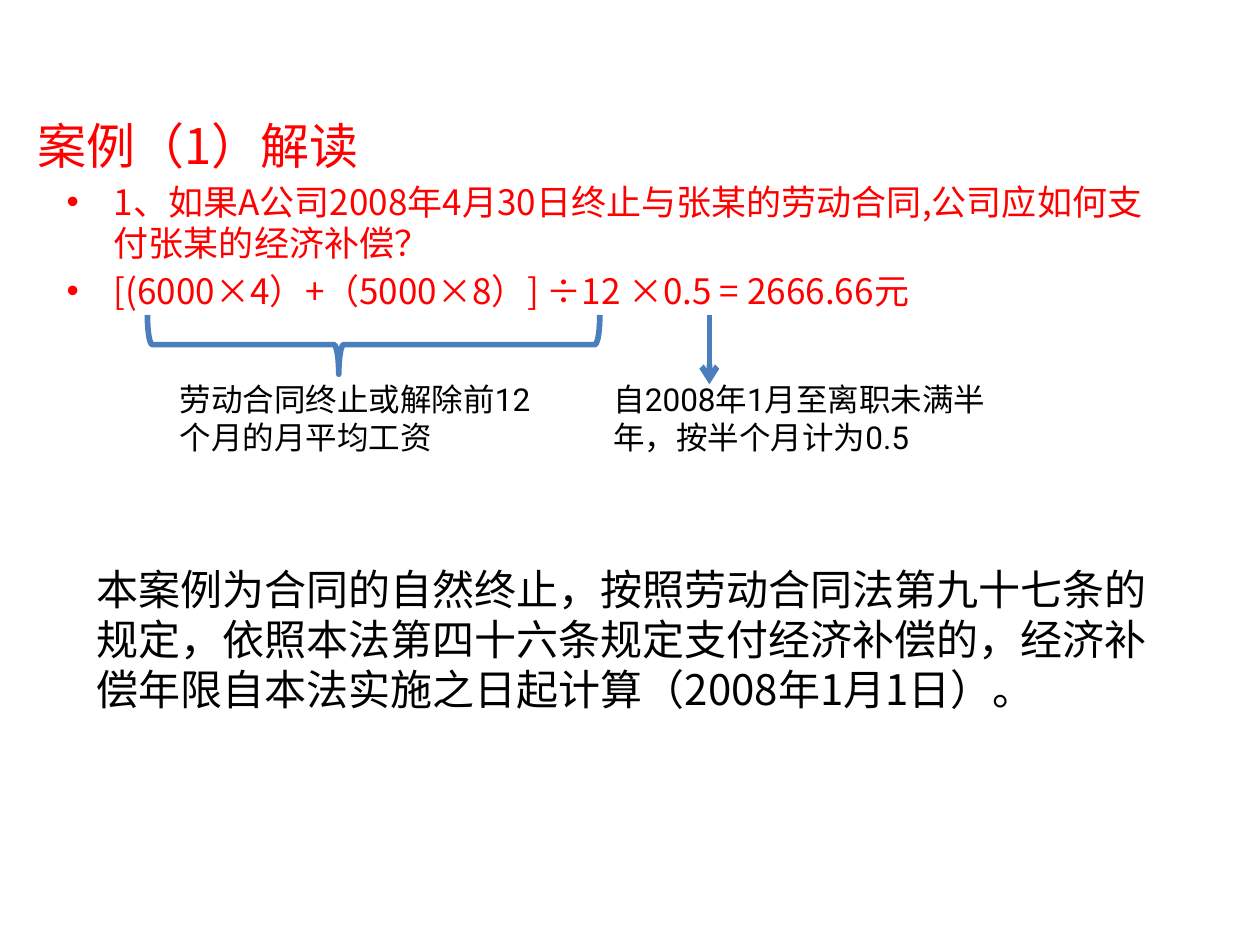
from dataclasses import dataclass

from lxml import etree
from pptx import Presentation
from pptx.dml.color import RGBColor
from pptx.enum.shapes import MSO_CONNECTOR, MSO_SHAPE
from pptx.enum.text import MSO_ANCHOR
from pptx.oxml.ns import qn
from pptx.util import Pt

RED = RGBColor(0xFF, 0x00, 0x00)
BLACK = RGBColor(0x00, 0x00, 0x00)
BLUE = RGBColor(0x4B, 0x7E, 0xBC)
BRACE = MSO_SHAPE.LEFT_BRACE
LINE = MSO_CONNECTOR.STRAIGHT
TOP = MSO_ANCHOR.TOP
SC = "Noto Sans CJK SC"
JP = "Noto Sans CJK JP"
LATIN = "Roboto"
WEIGHT = 3.25
HANG = 27


@dataclass
class Block:
    left: float
    top: float
    width: float
    height: float
    text: str
    size: float
    color: RGBColor = BLACK
    font: str = SC
    asian: str = SC
    lead: float = 1.2
    bullet: bool = False


BLOCKS = [
    Block(14.4, 62.64, 648, 99.36, "案例（1）解读", 28, RED),
    Block(
        30.96, 100.08, 647.28, 90.72,
        "1、如果A公司2008年4月30日终止与张某的劳动合同,公司应如何支付张某的经济补偿？\n"
        "[(6000×4）+（5000×8）] ÷12 ×0.5 = 2666.66元",
        20, RED, lead=1.17, bullet=True,
    ),
    Block(95.76, 213.84, 219.6, 51.12,
          "劳动合同终止或解除前12个月的月平均工资", 18, font=LATIN),
    Block(343.44, 213.84, 230.4, 51.12,
          "自2008年1月至离职未满半年，按半个月计为0.5", 18, font=LATIN),
    Block(
        48.24, 318.24, 629.28, 94.32,
        "本案例为合同的自然终止，按照劳动合同法第九十七条的规定，"
        "依照本法第四十六条规定支付经济补偿的，"
        "经济补偿年限自本法实施之日起计算（2008年1月1日）。",
        24, font=JP, asian=JP,
    ),
]


def add_dot(para, color: RGBColor) -> None:
    props = para._p.get_or_add_pPr()
    props.set("marL", str(Pt(HANG)))
    props.set("indent", str(-Pt(HANG)))
    tint = etree.SubElement(props, qn("a:buClr"))
    etree.SubElement(tint, qn("a:srgbClr"), val=str(color))
    etree.SubElement(props, qn("a:buFont"), typeface="Arial")
    etree.SubElement(props, qn("a:buChar"), char="•")


def add_block(slide, block: Block) -> None:
    box = slide.shapes.add_textbox(
        Pt(block.left), Pt(block.top), Pt(block.width), Pt(block.height)
    )
    frame = box.text_frame
    frame.word_wrap = True
    frame.vertical_anchor = TOP
    frame.text = block.text
    for para in frame.paragraphs:
        para.line_spacing = Pt(block.size * block.lead)
        if block.bullet:
            para.space_before = Pt(block.size * 0.2)
            add_dot(para, block.color)
        for run in para.runs:
            run.font.size = Pt(block.size)
            run.font.name = block.font
            run.font.color.rgb = block.color
            props = run.font._element
            etree.SubElement(props, qn("a:ea"), typeface=block.asian)


def add_brace(slide) -> None:
    brace = slide.shapes.add_shape(
        BRACE, Pt(196.56), Pt(67.68), Pt(33.84), Pt(258.48)
    )
    brace.rotation = 270
    brace.adjustments[0] = 0.083
    brace.adjustments[1] = 0.423
    brace.shadow.inherit = False
    brace.fill.background()
    brace.line.color.rgb = BLUE
    brace.line.width = Pt(WEIGHT)


def add_arrow(slide, x: float, top: float, end: float) -> None:
    arrow = slide.shapes.add_connector(LINE, Pt(x), Pt(top), Pt(x), Pt(end))
    arrow.line.color.rgb = BLUE
    arrow.line.width = Pt(WEIGHT)
    etree.SubElement(arrow.line._get_or_add_ln(), qn("a:tailEnd"), type="arrow")
    etree.SubElement(arrow._element.spPr, qn("a:effectLst"))


def main() -> None:
    deck = Presentation()
    deck.slide_width = Pt(720)
    deck.slide_height = Pt(540)
    slide = deck.slides.add_slide(deck.slide_layouts[6])
    for block in BLOCKS:
        add_block(slide, block)
    add_brace(slide)
    add_arrow(slide, 405.36, 180, 219.6)
    deck.save("out.pptx")


if __name__ == "__main__":
    main()
